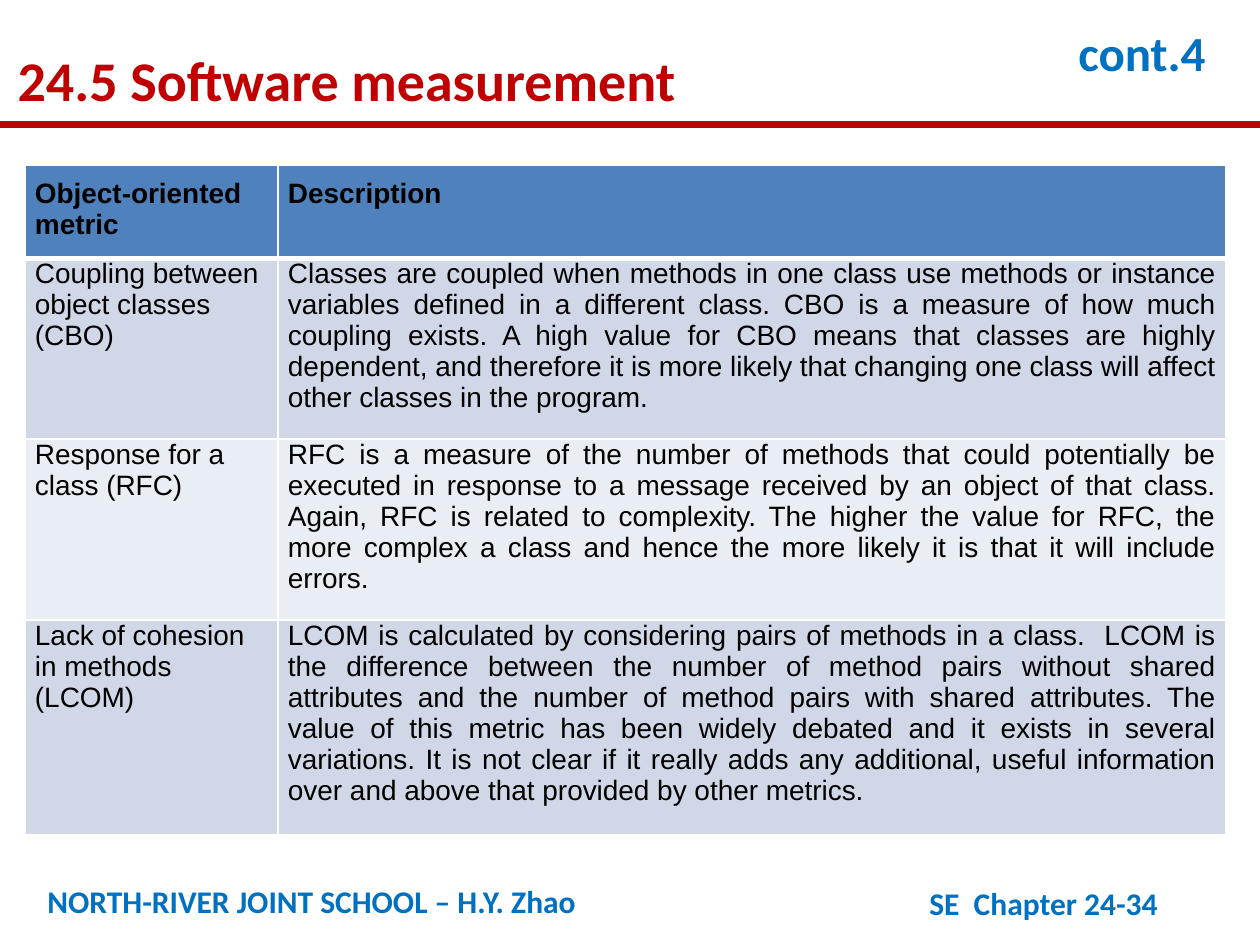
"""Build the software measurement slide with its table of object-oriented metrics."""
from lxml import etree
from pptx import Presentation
from pptx.dml.color import RGBColor
from pptx.enum.shapes import MSO_CONNECTOR
from pptx.enum.text import MSO_ANCHOR, PP_ALIGN
from pptx.oxml.ns import qn
from pptx.util import Pt

STRAIGHT = MSO_CONNECTOR.STRAIGHT
TOP = MSO_ANCHOR.TOP
LEFT, JUSTIFY = PP_ALIGN.LEFT, PP_ALIGN.JUSTIFY
EMU_PER_PX = 914400 // 126
TITLE_ONLY = 5

COLORS = {
    "red": "C00000", "blue": "0070C0", "black": "000000", "border": "FFFFFF",
    "header": "4F81BD", "odd": "D0D8E8", "even": "E9EDF4",
}
TITLE = ("24.5 Software measurement", (5, 26, 932, 88), 32, "red", 1.2)
LABELS = [
    ("cont.4", (1066, 26, 189, 63), 28, "blue", Pt(28)),
    ("NORTH-RIVER JOINT SCHOOL – H.Y. Zhao", (35, 876, 795, 50), 18, "blue", None),
    ("SE  Chapter 24-34", (917, 878, 329, 50), 18, "blue", None),
]
METRICS = [
    ("Object-oriented metric", "Description"),
    ("Coupling between object classes (CBO)",
     "Classes are coupled when methods in one class use methods or instance variables "
     "defined in a different class. CBO is a measure of how much coupling exists. A high "
     "value for CBO means that classes are highly dependent, and therefore it is more likely "
     "that changing one class will affect other classes in the program."),
    ("Response for a class (RFC)",
     "RFC is a measure of the number of methods that could potentially be executed in "
     "response to a message received by an object of that class. Again, RFC is related to "
     "complexity. The higher the value for RFC, the more complex a class and hence the more "
     "likely it is that it will include errors."),
    ("Lack of cohesion in methods (LCOM)",
     "LCOM is calculated by considering pairs of methods in a class.  LCOM is the difference "
     "between the number of method pairs without shared attributes and the number of method "
     "pairs with shared attributes. The value of this metric has been widely debated and it "
     "exists in several variations. It is not clear if it really adds any additional, useful "
     "information over and above that provided by other metrics."),
]
TABLE_LEFT, TABLE_TOP = 25, 165
COLUMN_WIDTHS = [253, 948]
ROW_HEIGHTS = [92, 181, 181, 214]
RULE_Y = 125


def px(length):
    return length * EMU_PER_PX


def color(name):
    return RGBColor.from_string(COLORS[name])


def style_font(font, family, size, color_name, bold):
    font.name, font.size, font.bold = family, Pt(size), bold
    font.color.rgb = color(color_name)


def write_label(label, content, box, size, color_name, spacing):
    label.left, label.top, label.width, label.height = map(px, box)
    frame = label.text_frame
    frame.text = content
    frame.word_wrap = True
    frame.vertical_anchor = TOP
    paragraph = frame.paragraphs[0]
    paragraph.alignment = LEFT
    paragraph.line_spacing = spacing
    style_font(paragraph.font, "Calibri", size, color_name, True)


def add_rule(slide):
    rule = slide.shapes.add_connector(STRAIGHT, 0, px(RULE_Y), px(1260), px(RULE_Y))
    rule.line.color.rgb = color("red")
    rule.line.width = Pt(4)
    etree.SubElement(rule._element.spPr, qn("a:effectLst"))


def set_borders(cell, top, bottom):
    properties = cell._tc.get_or_add_tcPr()
    for side, width in (("L", 1), ("R", 1), ("T", top), ("B", bottom)):
        border = etree.SubElement(properties, qn(f"a:ln{side}"), w=str(Pt(width)))
        fill = etree.SubElement(border, qn("a:solidFill"))
        etree.SubElement(fill, qn("a:srgbClr"), val=COLORS["border"])


def style_cell(cell, content, row, column):
    is_header = row == 0
    cell.text = content
    cell.margin_left = cell.margin_right = px(10)
    cell.margin_top = px(13 if is_header else 0)
    cell.margin_bottom = px(13)
    cell.vertical_anchor = TOP
    set_borders(cell, 3 if row == 1 else 1, 3 if is_header else 1)
    cell.fill.solid()
    cell.fill.fore_color.rgb = color("header" if is_header else "odd" if row % 2 else "even")
    paragraph = cell.text_frame.paragraphs[0]
    paragraph.alignment = JUSTIFY if is_header or column else LEFT
    style_font(paragraph.font, "Arial", 16, "black", is_header)


def add_metrics(slide):
    table = slide.shapes.add_table(
        len(METRICS), len(COLUMN_WIDTHS), px(TABLE_LEFT), px(TABLE_TOP),
        px(sum(COLUMN_WIDTHS)), px(sum(ROW_HEIGHTS))).table
    for column, width in zip(table.columns, COLUMN_WIDTHS):
        column.width = px(width)
    for row, height in zip(table.rows, ROW_HEIGHTS):
        row.height = px(height)
    for row, metric in enumerate(METRICS):
        for column, content in enumerate(metric):
            style_cell(table.cell(row, column), content, row, column)


def main():
    presentation = Presentation()
    presentation.slide_width, presentation.slide_height = px(1260), px(945)
    slide = presentation.slides.add_slide(presentation.slide_layouts[TITLE_ONLY])
    add_rule(slide)
    write_label(slide.shapes.title, *TITLE)
    for label in LABELS:
        write_label(slide.shapes.add_textbox(0, 0, 0, 0), *label)
    add_metrics(slide)
    presentation.save("out.pptx")


if __name__ == "__main__":
    main()
